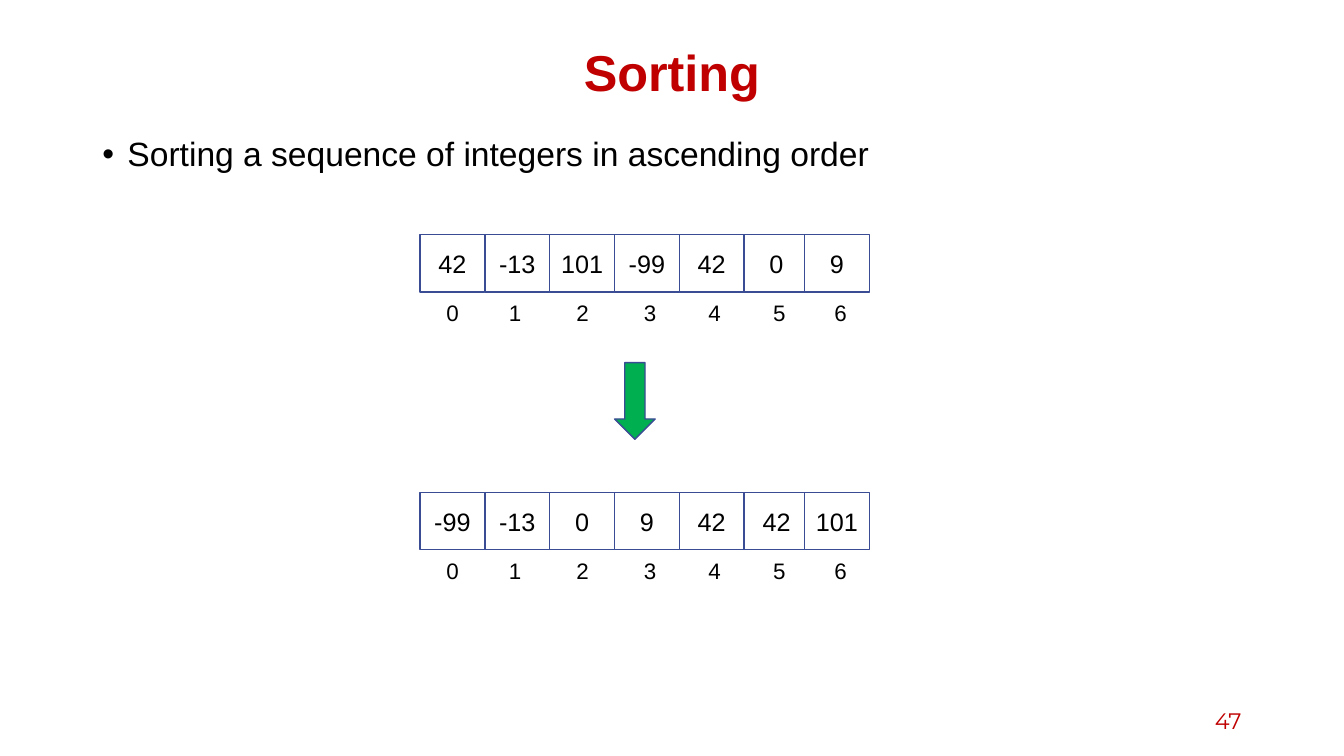
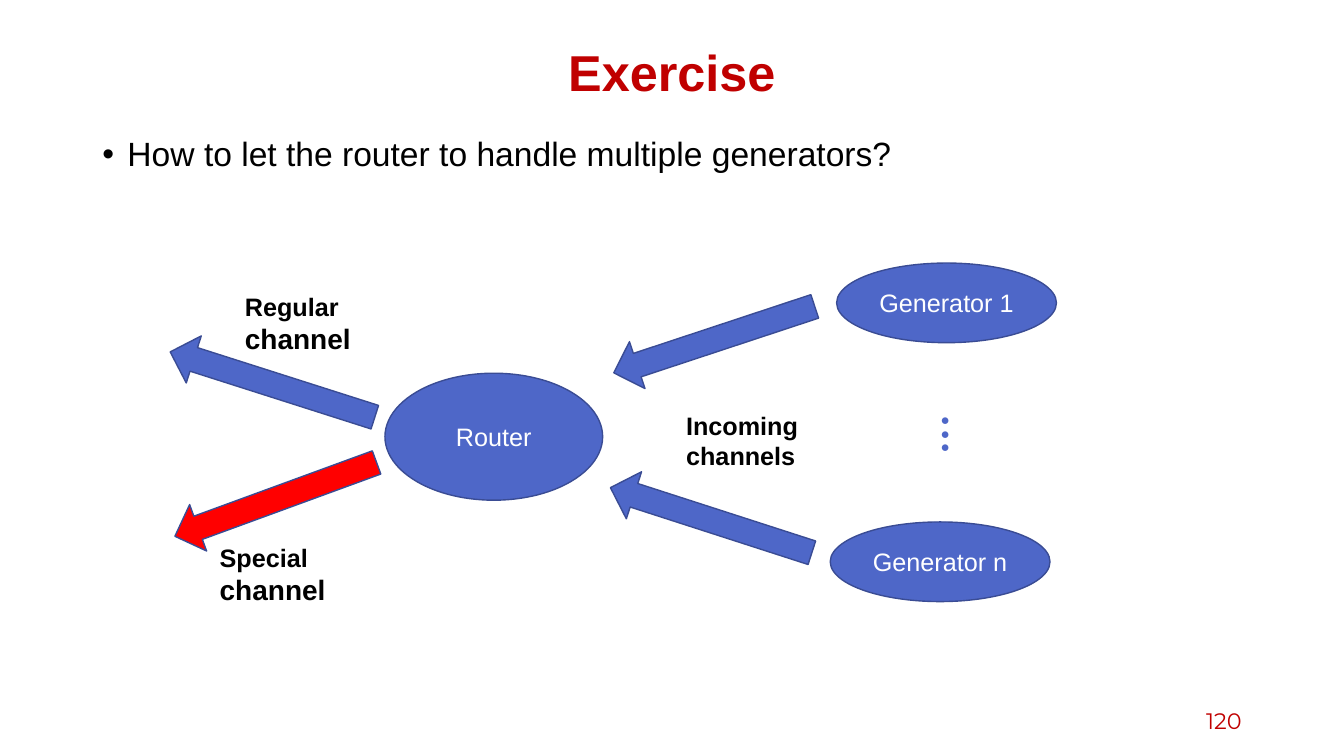
"""Build two lecture slides: sorting integers and a router exercise."""
import pptx
import pptx.dml.color
import pptx.enum.shapes
import pptx.enum.text
import pptx.oxml
import pptx.util

Pt = pptx.util.Pt
SHAPE = pptx.enum.shapes.MSO_SHAPE
ALIGN = pptx.enum.text.PP_ALIGN
ANCHOR = pptx.enum.text.MSO_ANCHOR
colour = pptx.dml.color.RGBColor.from_string

CRIMSON, BLACK, WHITE = "C00000", "000000", "FFFFFF"
BLUE, OUTLINE, GREEN, RED = "4E67C8", "3A4C94", "00B050", "FF0000"


def add_shape(page, preset, place, fill, rotation=0):
    """Add an outlined preset shape at (left, top, width, height)."""
    shape = page.shapes.add_shape(preset, *map(Pt, place))
    shape.shadow.inherit = False
    shape.fill.solid()
    shape.fill.fore_color.rgb = colour(fill)
    shape.line.color.rgb = colour(OUTLINE)
    shape.line.width = Pt(1)
    shape.rotation = rotation
    return shape


def write(box, spans, tint=BLACK, bold=False, align=ALIGN.CENTER, anchor=ANCHOR.MIDDLE, font="Arial"):
    """Write (text, size) spans as one paragraph and return it."""
    frame = box.text_frame
    frame.word_wrap = True
    frame.vertical_anchor = anchor
    para = frame.paragraphs[0]
    para.alignment = align
    for text, size in spans:
        span = para.add_run()
        span.text = text
        span.font.name = font
        span.font.size = Pt(size)
        span.font.bold = bold
        span.font.color.rgb = colour(tint)
    return para


deck = pptx.Presentation()
deck.slide_width, deck.slide_height = Pt(960), Pt(540)
pages = []
for title, question, number in (
    ("Sorting", "Sorting a sequence of integers in ascending order", "47"),
    ("Exercise", "How to let the router to handle multiple generators?", "120"),
):
    page = deck.slides.add_slide(deck.slide_layouts[6])
    pages.append(page)

    box = page.shapes.add_textbox(Pt(66), Pt(28.8), Pt(828), Pt(50.4))
    write(box, [(title, 36)], CRIMSON, bold=True).line_spacing = 0.9

    box = page.shapes.add_textbox(Pt(66), Pt(95), Pt(828), Pt(396.7))
    para = write(box, [(question, 24)], align=ALIGN.LEFT, anchor=ANCHOR.TOP)
    para.line_spacing = 0.9
    para.space_before = Pt(10)
    settings = para._p.get_or_add_pPr()
    settings.set("marL", str(Pt(18)))
    settings.set("indent", str(Pt(-18)))
    for tag, key, value in (("buFont", "typeface", "Arial"), ("buChar", "char", "•")):
        bullet = pptx.oxml.parse_xml(
            f'<a:{tag} xmlns:a="http://schemas.openxmlformats.org/drawingml/2006/main" {key}="{value}"/>'
        )
        settings.append(bullet)

    box = page.shapes.add_textbox(Pt(678), Pt(500.4), Pt(216), Pt(28.8))
    write(box, [(number, 16)], CRIMSON, align=ALIGN.RIGHT, font="Montserrat")

sorting, exercise = pages

cell_lefts = [300 + 46.3 * column for column in range(6)] + [574.6]
index_centres = (323.3, 368, 416.2, 464.4, 510.5, 556.6, 600.5)
for top, values in (
    (167.6, (42, -13, 101, -99, 42, 0, 9)),
    (351.7, (-99, -13, 0, 9, 42, 42, 101)),
):
    for left, value in zip(cell_lefts, values):
        cell = add_shape(sorting, SHAPE.RECTANGLE, (left, top, 46.3, 40.9), WHITE)
        write(cell, [(str(value), 18)])
    for index, centre in enumerate(index_centres):
        box = sorting.shapes.add_textbox(Pt(centre - 14.4), Pt(top + 42.5), Pt(28.8), Pt(26.6))
        write(box, [(str(index), 16)], anchor=ANCHOR.TOP)
add_shape(sorting, SHAPE.DOWN_ARROW, (439, 259, 29, 54.8), GREEN)

for place, name in (
    ((275, 266.6, 155.5, 90.7), "Router"),
    ((597.6, 187.9, 157, 56.9), "Generator 1"),
    ((593, 372.8, 157, 56.9), "Generator n"),
):
    write(add_shape(exercise, SHAPE.OVAL, place, BLUE), [(name, 18)], WHITE)

for left, top, length, rotation, fill in (
    (492.5, 167, 151.2, 71.7, BLUE),
    (490.3, 296, 151.2, 107.9, BLUE),
    (177, 198, 153.4, 107.7, BLUE),
    (179.3, 280, 153.4, 69.9, RED),
):
    add_shape(exercise, SHAPE.DOWN_ARROW, (left, top, 35.3, length), fill, rotation)

for left, top, spans in (
    (483, 289.4, [("Incoming channels", 18)]),
    (167.8, 202.3, [("Regular", 18), (" channel", 20)]),
    (149.8, 381.6, [("Special", 18), (" channel", 20)]),
):
    box = exercise.shapes.add_textbox(Pt(left), Pt(top), Pt(121), Pt(55))
    write(box, spans, bold=True, align=ALIGN.LEFT, anchor=ANCHOR.TOP)

dots = exercise.shapes.add_textbox(Pt(645.8), Pt(310.3), Pt(60.5), Pt(20.9))
dots.rotation = 90
write(dots, [("● ● ●", 11)], BLUE, align=ALIGN.LEFT, anchor=ANCHOR.TOP)

deck.save("out.pptx")
